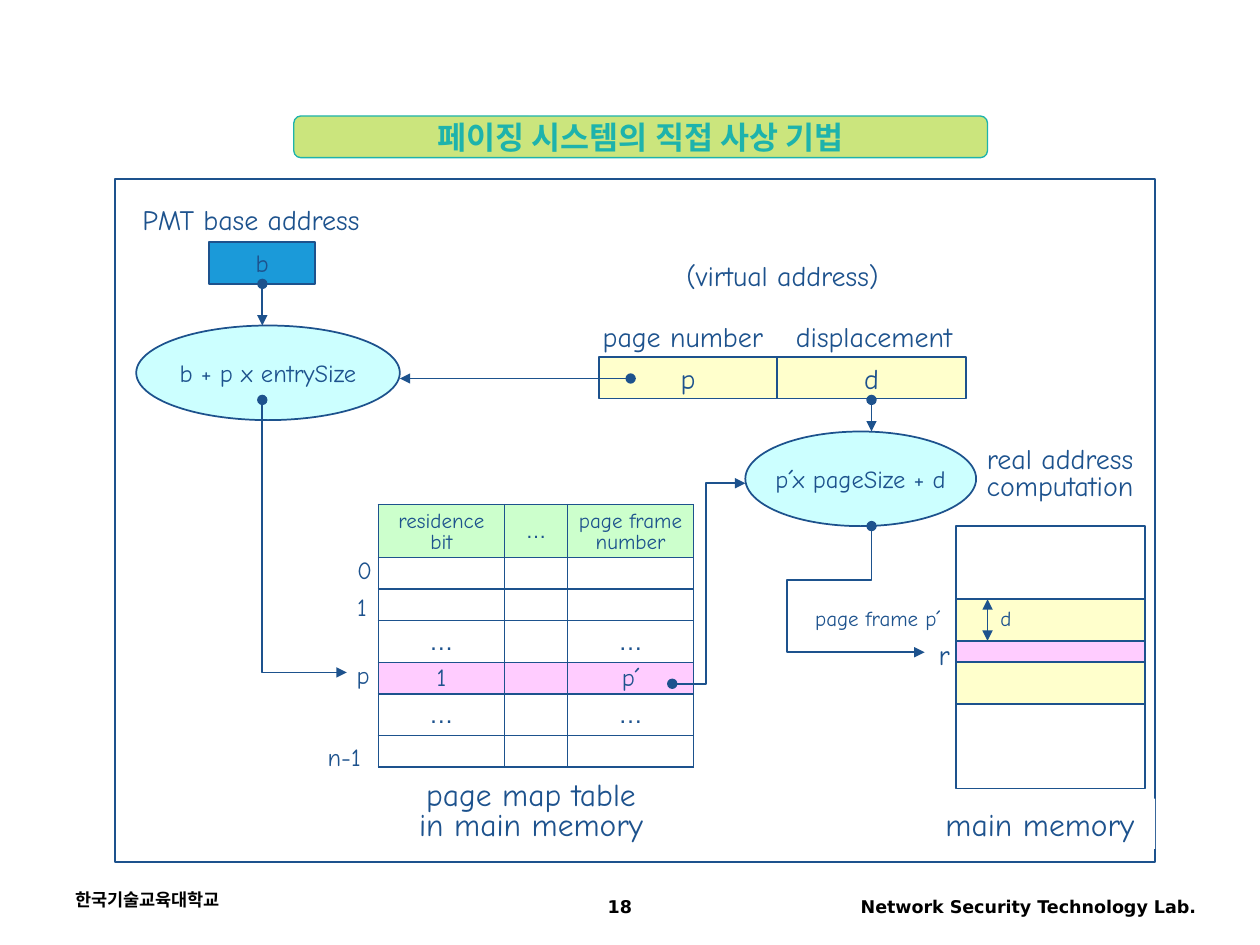
from lxml import etree
from pptx import Presentation
from pptx.dml.color import RGBColor
from pptx.enum.shapes import MSO_CONNECTOR, MSO_SHAPE
from pptx.enum.text import MSO_ANCHOR, PP_ALIGN
from pptx.oxml.ns import qn
from pptx.util import Inches, Pt

RECT, OVAL = MSO_SHAPE.RECTANGLE, MSO_SHAPE.OVAL
TITLE_SHAPE = MSO_SHAPE.FLOWCHART_ALTERNATE_PROCESS
LEFT, CENTER, RIGHT = PP_ALIGN.LEFT, PP_ALIGN.CENTER, PP_ALIGN.RIGHT
MIDDLE, TOP = MSO_ANCHOR.MIDDLE, MSO_ANCHOR.TOP

INK, WHITE, BLACK, TEAL = "1D528D", "FFFFFF", "000000", "1DB3AC"
YELLOW, GREEN, PINK, CYAN, BLUE, LIME = "FFFFCC", "CCFFCC", "FFCCFF", "CCFFFF", "1B9AD9", "99CC00"
BODY_FONT, DOTS_FONT, FOOTER_FONT, TITLE_FONT = "Comic Neue", "Arial", "DejaVu Sans", "Arial Narrow"

TITLE = ("페이징 시스템의 직접 사상 기법", (2.33, 0.92, 5.5, 0.33))
FRAME = (0.91, 1.42, 8.25, 5.41)

# text, (left, top, width, height), alignment
FOOTERS = [
    ("한국기술교육대학교", (0.5, 7, 2.33, 0.33), LEFT),
    ("Network Security Technology Lab.", (6.41, 7.05, 3.17, 0.32), RIGHT),
    ("18", (3.75, 7.05, 2.33, 0.28), CENTER),
]

# shape, text, (left, top, width, height), fill, text size
NODES = [
    (RECT, "b", (1.66, 1.92, 0.84, 0.33), BLUE, 14),
    (OVAL, "b + p x entrySize", (1.08, 2.58, 2.09, 0.75), CYAN, 14),
    (RECT, "p", (4.75, 2.83, 1.41, 0.33), YELLOW, 16),
    (RECT, "d", (6.16, 2.83, 1.5, 0.33), YELLOW, 16),
    (OVAL, "p´x pageSize + d", (5.91, 3.42, 1.83, 0.75), CYAN, 14),
]

# text, (left, top, width, height), text size, first line spacing
BACKED_LABELS = [
    ("main memory", (7.33, 6.33, 1.83, 0.4), 18, 1),
    ("0", (2.73, 4.35, 0.32, 0.33), 14, 1),
    ("1", (2.73, 4.64, 0.28, 0.33), 14, 1),
    ("p", (2.73, 5.18, 0.3, 0.33), 14, 1),
    ("n-1", (2.48, 5.83, 0.5, 0.33), 14, 1),
    ("(virtual address)", (5.34, 2, 1.73, 0.37), 16, 1),
    ("real address\ncomputation", (7.72, 3.5, 1.37, 0.53), 16, 0.8),
    ("page number", (4.68, 2.48, 1.47, 0.37), 16, 1),
    ("displacement", (6.21, 2.48, 1.44, 0.37), 16, 1),
]
LABELS = [
    ("PMT base address", (1.02, 1.56, 1.94, 0.37), 16, 1),
    ("page map table\nin main memory", (3.22, 6.09, 1.98, 0.64), 18, 1),
    ("page frame p´", (6.36, 4.75, 1.2, 0.3), 12, 1),
    ("d", (7.83, 4.75, 0.29, 0.3), 12, 1),
    ("r", (7.34, 5, 0.29, 0.37), 16, 1),
]

MAP_LEFT, MAP_TOP = 3, 4
MAP_WIDTHS = [1, 0.5, 1]
# height, fill, text size, cells
MAP_ROWS = [
    (0.42, GREEN, 12, ["residence\nbit", "…", "page frame\nnumber"]),
    (0.25, WHITE, 14, ["", "", ""]),
    (0.25, WHITE, 14, ["", "", ""]),
    (0.33, WHITE, 14, ["…", "", "…"]),
    (0.25, PINK, 14, ["1", "", "p´"]),
    (0.33, WHITE, 14, ["…", "", "…"]),
    (0.25, WHITE, 14, ["", "", ""]),
]

MEMORY_LEFT, MEMORY_TOP, MEMORY_WIDTH = 7.58, 4.17, 1.5
MEMORY_BANDS = [(0.58, WHITE), (0.33, YELLOW), (0.17, PINK), (0.33, YELLOW), (0.67, WHITE)]

# start marker, points; every route ends in an arrow
ROUTES = [
    ("oval", [(2.08, 2.25), (2.08, 2.58)]),
    ("oval", [(5, 3), (3.17, 3)]),
    ("oval", [(6.91, 3.17), (6.91, 3.42)]),
    ("triangle", [(7.83, 4.75), (7.83, 5.08)]),
    ("oval", [(2.08, 3.17), (2.08, 5.33), (2.75, 5.33)]),
    ("oval", [(5.33, 5.42), (5.6, 5.42), (5.6, 3.83), (5.91, 3.83)]),
    ("oval", [(6.91, 4.17), (6.91, 4.6), (6.24, 4.6), (6.24, 5.17), (7.33, 5.17)]),
]


def rgb(color):
    return RGBColor.from_string(color)


def inches(lengths):
    return [Inches(length) for length in lengths]


def write(frame, text, size, first_spacing=1, align=CENTER, font=BODY_FONT, color=INK, bold=False):
    """Fill a text frame, one paragraph a line; later lines are set tighter."""
    style = {"size": Pt(size), "name": DOTS_FONT if text == "…" else font, "bold": bold}
    for index, line in enumerate(text.split("\n")):
        paragraph = frame.paragraphs[0] if index == 0 else frame.add_paragraph()
        paragraph.alignment = align
        spacing = 0.8 if index else first_spacing
        if spacing != 1:
            paragraph.line_spacing = spacing
        run = paragraph.add_run()
        run.text = line
        run.font.color.rgb = rgb(color)
        for name, value in style.items():
            setattr(run.font, name, value)


def add_box(slide, kind, place, fill, line=INK, width=1):
    shape = slide.shapes.add_shape(kind, *inches(place))
    shape.shadow.inherit = False
    shape.fill.solid()
    shape.fill.fore_color.rgb = rgb(fill)
    if line:
        shape.line.color.rgb = rgb(line)
        shape.line.width = Pt(width)
    else:
        shape.line.fill.background()
    shape.text_frame.word_wrap = False
    shape.text_frame.vertical_anchor = MIDDLE
    return shape


def add_label(slide, text, place, size, wrap=False, **style):
    box = slide.shapes.add_textbox(*inches(place))
    box.text_frame.word_wrap = wrap
    write(box.text_frame, text, size, **style)


def add_route(slide, marker, points):
    corners = [tuple(inches(point)) for point in points]
    if len(corners) == 2:
        route = slide.shapes.add_connector(MSO_CONNECTOR.STRAIGHT, *corners[0], *corners[1])
    else:
        builder = slide.shapes.build_freeform(*corners[0])
        builder.add_line_segments(corners[1:], close=False)
        route = builder.convert_to_shape()
        route.fill.background()
    route.line.color.rgb = rgb(INK)
    route.line.width = Pt(1)
    properties = route._element.spPr
    etree.SubElement(properties, qn("a:effectLst"))
    outline = properties.find(qn("a:ln"))
    for end, kind in (("a:headEnd", marker), ("a:tailEnd", "triangle")):
        etree.SubElement(outline, qn(end), type=kind)


def add_cell_borders(cell):
    properties = cell._tc.get_or_add_tcPr()
    for index, side in enumerate(("a:lnL", "a:lnR", "a:lnT", "a:lnB")):
        border = etree.Element(qn(side), w=str(Pt(1)))
        fill = etree.SubElement(border, qn("a:solidFill"))
        etree.SubElement(fill, qn("a:srgbClr"), val=INK)
        properties.insert(index, border)


def add_page_map(slide):
    place = (MAP_LEFT, MAP_TOP, sum(MAP_WIDTHS), sum(row[0] for row in MAP_ROWS))
    table = slide.shapes.add_table(len(MAP_ROWS), len(MAP_WIDTHS), *inches(place)).table
    table.first_row = table.horz_banding = False
    for column, width in zip(table.columns, MAP_WIDTHS):
        column.width = Inches(width)
    for row, (height, fill, size, texts) in zip(table.rows, MAP_ROWS):
        row.height = Inches(height)
        for cell, text in zip(row.cells, texts):
            for side in ("left", "right", "top", "bottom"):
                setattr(cell, f"margin_{side}", 0)
            cell.vertical_anchor = MIDDLE
            cell.fill.solid()
            cell.fill.fore_color.rgb = rgb(fill)
            add_cell_borders(cell)
            if text:
                write(cell.text_frame, text, size)
            else:
                paragraph = cell.text_frame.paragraphs[0]
                etree.SubElement(paragraph._p, qn("a:endParaRPr"), sz=str(size * 100))


def add_title(slide):
    text, place = TITLE
    banner = add_box(slide, TITLE_SHAPE, place, LIME, TEAL, 0.77)
    color = banner._element.spPr.find(qn("a:solidFill")).find(qn("a:srgbClr"))
    etree.SubElement(color, qn("a:alpha"), val="51000")
    write(banner.text_frame, text, 18, font=TITLE_FONT, color=TEAL, bold=True)


def main():
    presentation = Presentation()
    presentation.slide_width, presentation.slide_height = inches((9.99, 7.49))
    slide = presentation.slides.add_slide(presentation.slide_layouts[6])

    for text, place, align in FOOTERS:
        add_label(slide, text, place, 10, wrap=True, align=align, font=FOOTER_FONT, color=BLACK, bold=True)
    add_box(slide, RECT, FRAME, WHITE)
    add_title(slide)

    for text, place, size, spacing in BACKED_LABELS:
        label = add_box(slide, RECT, place, WHITE, line=None)
        label.text_frame.vertical_anchor = TOP
        write(label.text_frame, text, size, spacing)
    for kind, text, place, fill, size in NODES:
        write(add_box(slide, kind, place, fill).text_frame, text, size)
    add_page_map(slide)
    top = MEMORY_TOP
    for height, fill in MEMORY_BANDS:
        add_box(slide, RECT, (MEMORY_LEFT, top, MEMORY_WIDTH, height), fill)
        top += height
    for text, place, size, spacing in LABELS:
        add_label(slide, text, place, size, first_spacing=spacing)
    for marker, points in ROUTES:
        add_route(slide, marker, points)
    presentation.save("out.pptx")


if __name__ == "__main__":
    main()
